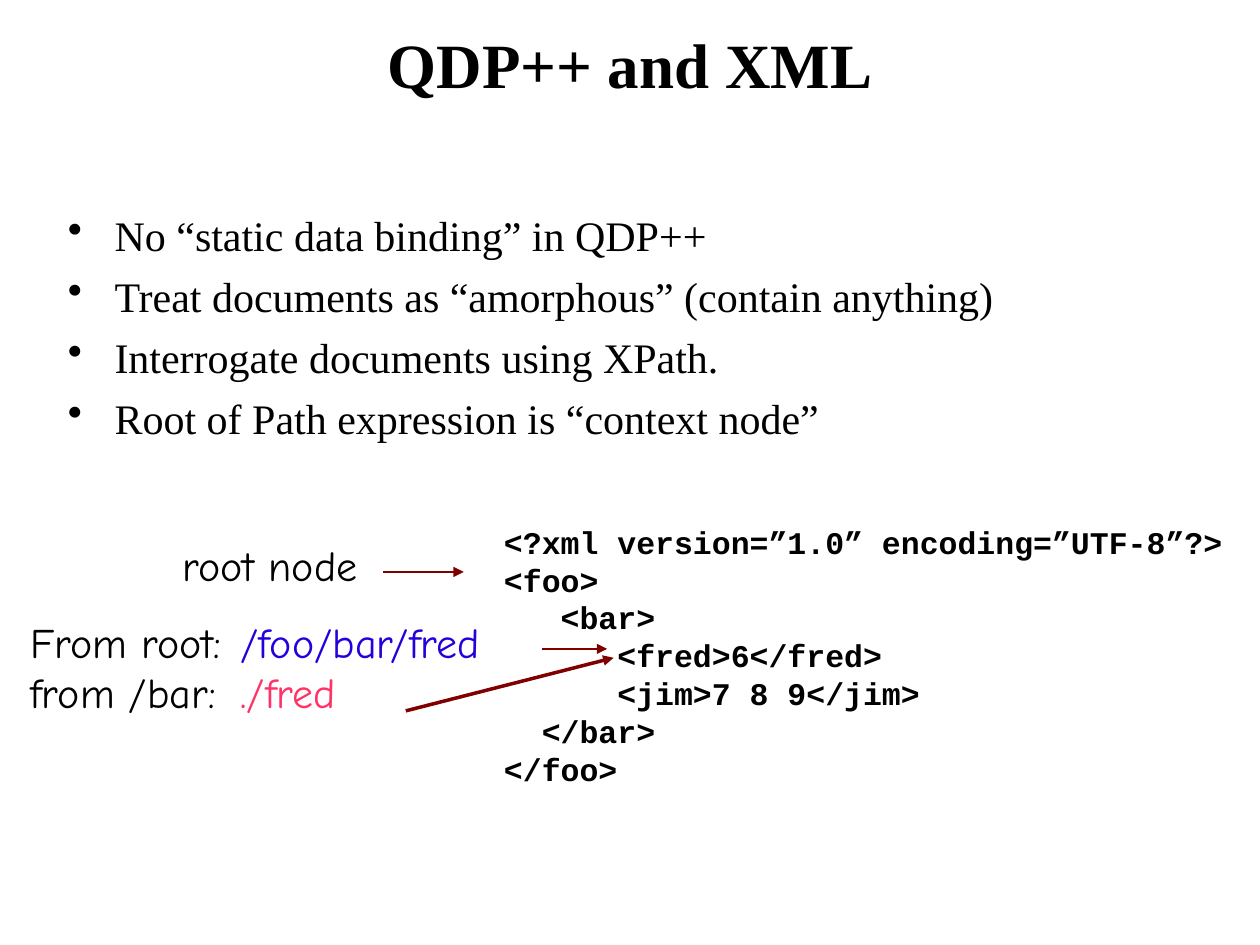
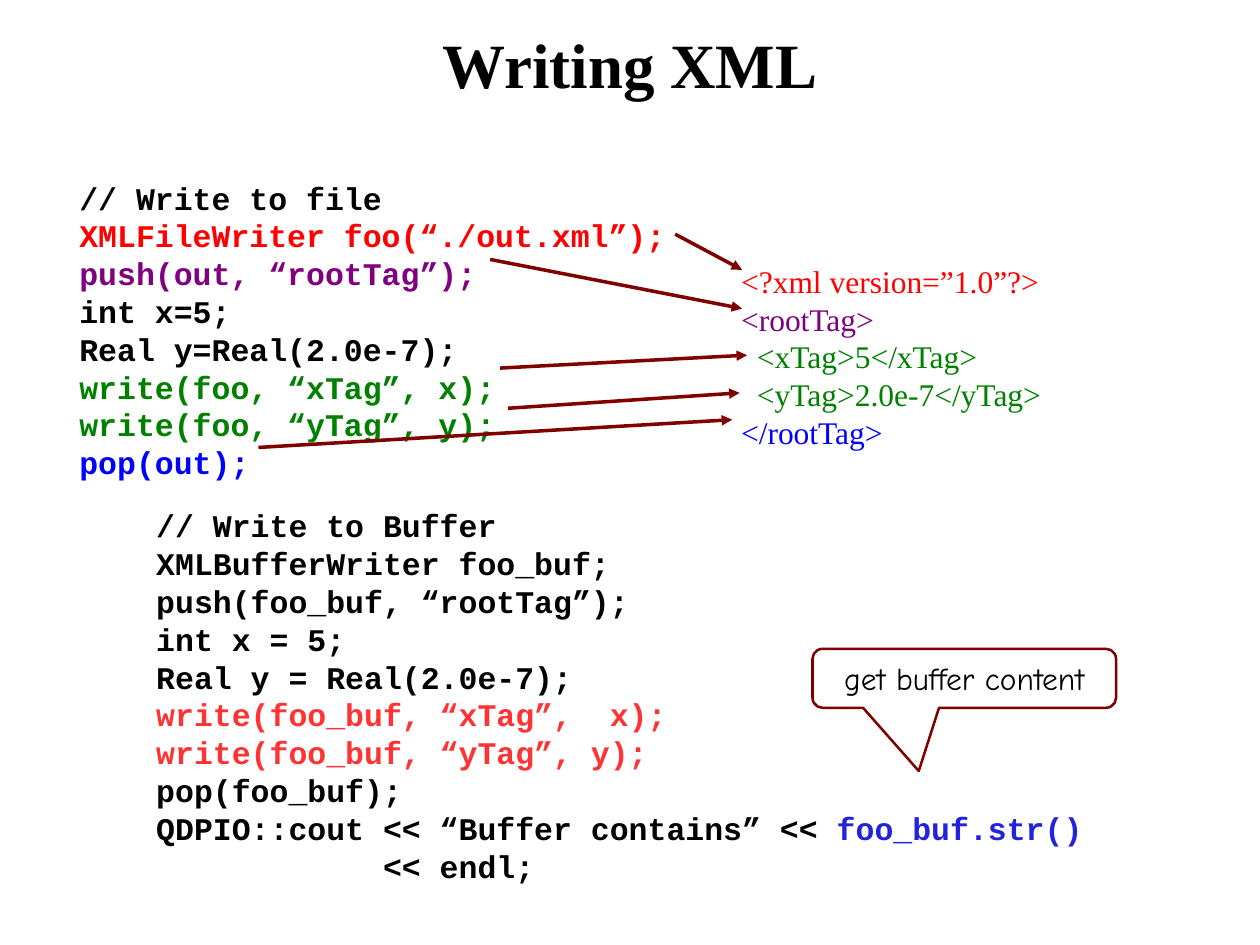
from pptx import Presentation
from pptx.dml.color import RGBColor as Rgb
from pptx.enum.shapes import MSO_CONNECTOR as Link, MSO_SHAPE as Form
from pptx.enum.text import MSO_ANCHOR as Anchor, PP_ALIGN as Align
from pptx.oxml.ns import qn
from pptx.util import Cm, Pt
from lxml.etree import SubElement as Sub

SERIF, MONO, HAND = "Times New Roman", "Courier New", "Comic Neue"
BLACK, MAROON = "000000", "800000"
RED, PURPLE, GREEN, BLUE = "FF0000", "800080", "008000", "0000FF"
CORAL = "FF3333"


def tint(code):
    return Rgb.from_string(code)


def ink(run, face, size, hue=BLACK, bold=False):
    font = run.font
    font.name, font.size, font.bold = face, Pt(size), bold
    font.color.rgb = tint(hue)


class Deck:
    space = {SERIF: 0.25, MONO: 0.6, HAND: 0.25}

    def __init__(self):
        self.show = Presentation()
        self.show.slide_width, self.show.slide_height = Cm(25.4), Cm(19.05)
        self.slide = None

    def page(self, title):
        self.slide = self.show.slides.add_slide(self.show.slide_layouts[5])
        head = self.slide.shapes.title
        head.left, head.top, head.width, head.height = Cm(1.9), Cm(0.13), Cm(21.6), Cm(2.29)
        frame = head.text_frame
        self.pad(frame, 0, 0)
        frame.text = title
        frame.vertical_anchor = Anchor.MIDDLE
        frame.paragraphs[0].alignment = Align.CENTER
        ink(frame.paragraphs[0].runs[0], SERIF, 36, bold=True)

    def pad(self, frame, side=0.28, edge=0.15):
        frame.word_wrap = True
        frame.margin_left = frame.margin_right = Cm(side)
        frame.margin_top = frame.margin_bottom = Cm(edge)

    def text(self, box, lines, face, size, pad=(0.28, 0.15)):
        frame = self.slide.shapes.add_textbox(*map(Cm, box)).text_frame
        self.pad(frame, *pad)
        frame.text = "\n".join(line[0] for line in lines)
        for par, (_, hue, depth) in zip(frame.paragraphs, lines):
            par.line_spacing = Pt(1.2 * size)
            ink(par.runs[0], face, size, hue, face == MONO)
            if depth:
                par._p.get_or_add_pPr().set("marL", str(Pt(depth * size * self.space[face])))
        return frame.paragraphs

    def list(self, box, items):
        for par in self.text(box, [(item, BLACK, 0) for item in items], SERIF, 24, (0, 0)):
            par.space_before = Pt(6)
            props = par._p.get_or_add_pPr()
            props.set("marL", str(Cm(0.94)))
            props.set("indent", str(-Cm(0.94)))
            Sub(props, qn("a:buChar")).set("char", "•")

    def arrow(self, start, end, width=0):
        line = self.slide.shapes.add_connector(Link.STRAIGHT, *map(Cm, start + end))
        line.line.color.rgb = tint(MAROON)
        line.line.width = Pt(width)
        Sub(line.line._get_or_add_ln(), qn("a:tailEnd")).set("type", "triangle")
        Sub(line._element.spPr, qn("a:effectLst"))

    def callout(self, box, words):
        shape = self.slide.shapes.add_shape(Form.ROUNDED_RECTANGULAR_CALLOUT, *map(Cm, box))
        for i, value in enumerate((-0.15, 1.57, 0.17)):
            shape.adjustments[i] = value
        shape.shadow.inherit = False
        shape.fill.background()
        shape.line.color.rgb = tint(MAROON)
        shape.line.width = Pt(1.45)
        frame = shape.text_frame
        self.pad(frame)
        frame.text = words
        frame.vertical_anchor = Anchor.MIDDLE
        frame.paragraphs[0].alignment = Align.CENTER
        ink(frame.paragraphs[0].runs[0], HAND, 18)


def query(deck):
    deck.page("QDP++ and XML")
    deck.list((1.37, 4.22, 23.72, 4.78), (
        "No “static data binding” in QDP++",
        "Treat documents as “amorphous” (contain anything)",
        "Interrogate documents using XPath.",
        "Root of Path expression is “context node”",
    ))
    deck.text((9.88, 10.39, 15.4, 6.32), [
        ("<?xml version=”1.0” encoding=”UTF-8”?>", BLACK, 0),
        ("<foo>", BLACK, 0),
        ("<bar>", BLACK, 3),
        ("<fred>6</fred>", BLACK, 6),
        ("<jim>7 8 9</jim>", BLACK, 6),
        ("</bar>", BLACK, 2),
        ("</foo>", BLACK, 0),
    ], MONO, 18)
    deck.text((3.4, 10.72, 4.34, 1.47), [("root node", BLACK, 0)], HAND, 24)
    deck.text((4.57, 12.28, 6.32, 2.67), [
        ("/foo/bar/fred", "2300DC", 0), ("./fred", "FF3366", 0)], HAND, 24)
    deck.text((0.33, 12.28, 4.78, 2.67), [
        ("From root:", BLACK, 0), ("from /bar:", BLACK, 0)], HAND, 24)
    deck.arrow((7.72, 11.53), (9.35, 11.53), 1.45)
    deck.arrow((10.92, 13.08), (12.24, 13.08), 1.45)
    deck.arrow((8.18, 14.33), (12.37, 13.26))


def output(deck):
    deck.page("Writing XML")
    deck.text((1.32, 3.45, 12.8, 6.48), [
        ("// Write to file", BLACK, 0),
        ("XMLFileWriter foo(“./out.xml”);", RED, 0),
        ("push(out, “rootTag”);", PURPLE, 0),
        ("int x=5;", BLACK, 0),
        ("Real y=Real(2.0e-7);", BLACK, 0),
        ("write(foo, “xTag”, x);", GREEN, 0),
        ("write(foo, “yTag”, y);", GREEN, 0),
        ("pop(out);", BLUE, 0),
    ], MONO, 18)
    deck.text((14.66, 5.13, 9.6, 3.76), [
        ("<?xml version=”1.0”?>", RED, 0),
        ("<rootTag>", PURPLE, 0),
        ("<xTag>5</xTag>", GREEN, 2),
        ("<yTag>2.0e-7</yTag>", GREEN, 2),
        ("</rootTag>", BLUE, 0),
    ], SERIF, 18)
    for start, end in (
        ((13.61, 4.72), (14.96, 5.44)),
        ((9.88, 5.23), (14.96, 6.22)),
        ((10.08, 7.42), (15.06, 7.16)),
        ((10.24, 8.23), (14.91, 7.92)),
        ((5.21, 9.02), (14.76, 8.46)),
    ):
        deck.arrow(start, end)
    code = deck.text((2.87, 10.06, 19.66, 8.84), [
        ("// Write to Buffer", BLACK, 0),
        ("XMLBufferWriter foo_buf;", BLACK, 0),
        ("push(foo_buf, “rootTag”);", BLACK, 0),
        ("int x = 5;", BLACK, 0),
        ("Real y = Real(2.0e-7);", BLACK, 0),
        ("write(foo_buf, “xTag”,  x);", CORAL, 0),
        ("write(foo_buf, “yTag”, y);", CORAL, 0),
        ("pop(foo_buf);", BLACK, 0),
        ("QDPIO::cout << “Buffer contains” << ", BLACK, 0),
        ("<< endl;", BLACK, 12),
    ], MONO, 18)
    call = code[8].add_run()
    call.text = "foo_buf.str()"
    ink(call, MONO, 18, "2323DC", True)
    deck.callout((16.38, 13.08, 6.12, 1.19), "get buffer content")


def main():
    deck = Deck()
    query(deck)
    output(deck)
    deck.show.save("out.pptx")


if __name__ == "__main__":
    main()
